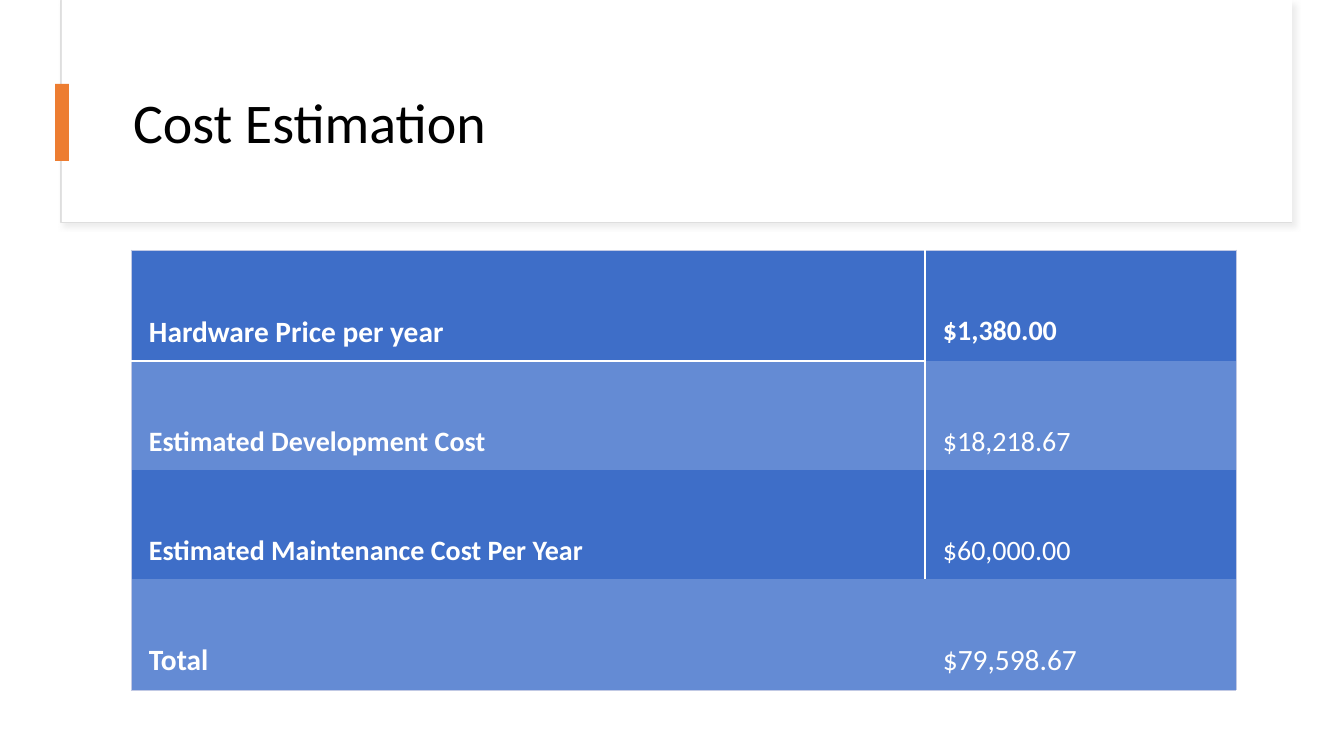
from lxml.etree import SubElement
from pptx import Presentation
from pptx.dml.color import RGBColor
from pptx.enum.shapes import MSO_SHAPE as Shape
from pptx.enum.text import MSO_ANCHOR as Anchor, MSO_AUTO_SIZE as AutoSize, PP_ALIGN as Align
from pptx.oxml.ns import qn
from pptx.util import Pt

EMU_PER_PX = 914400 / 100.8
BLUE, LIGHT_BLUE = "3E6EC8", "648BD4"
WHITE, ORANGE, BLACK = "FFFFFF", "ED7D31", "000000"
OUTER = ("C1C9E4", 0.5)
COLUMN_WIDTHS = (794, 311)
ROW_HEIGHTS = (111, 109, 109, 111)
COSTS = (
    ("Hardware Price per year", 21, "$1,380.00", 20),
    ("Estimated Development Cost", 20, "$18,218.67", 20),
    ("Estimated Maintenance Cost Per Year", 20, "$60,000.00", 20),
    ("Total", 21, "$79,598.67", 21),
)


def px(length):
    return round(length * EMU_PER_PX)


def color(value):
    return RGBColor.from_string(value)


def add_run(para, text, size, ink, bold=False):
    span = para.add_run()
    span.text = text
    font = span.font
    font.name, font.size, font.bold = "Calibri", Pt(size), bold
    font.color.rgb = color(ink)


def add_panel(page, place, fill, line=None):
    panel = page.shapes.add_shape(Shape.RECTANGLE, *map(px, place))
    panel.shadow.inherit = False
    panel.fill.solid()
    panel.fill.fore_color.rgb = color(fill)
    if line:
        panel.line.color.rgb = color(line)
        panel.line.width = Pt(0.75)
    else:
        panel.line.fill.background()
    return panel


def add_shadow(panel):
    effects = panel.element.spPr.find(qn("a:effectLst"))
    shadow = SubElement(effects, qn("a:outerShdw"), blurRad=str(Pt(4)), dist=str(Pt(3)),
                        dir="2700000", algn="tl", rotWithShape="0")
    tint = SubElement(shadow, qn("a:srgbClr"), val="D9D9D9")
    SubElement(tint, qn("a:alpha"), val="50000")


def set_title(page, text, place):
    title = page.shapes.title
    title.left, title.top, title.width, title.height = map(px, place)
    frame = title.text_frame
    frame.word_wrap = True
    frame.auto_size = AutoSize.NONE
    frame.vertical_anchor = Anchor.MIDDLE
    para = frame.paragraphs[0]
    para.alignment = Align.LEFT
    para.line_spacing = 0.9
    add_run(para, text, 40, BLACK)


def set_borders(cell, borders):
    properties = cell._tc.get_or_add_tcPr()
    for side in "LRTB":
        edge = SubElement(properties, qn(f"a:ln{side}"))
        if side in borders:
            ink, width = borders[side]
            edge.set("w", str(Pt(width)))
            fill = SubElement(edge, qn("a:solidFill"))
            SubElement(fill, qn("a:srgbClr"), val=ink)
        else:
            SubElement(edge, qn("a:noFill"))


def cell_borders(row, column):
    last = len(COSTS) - 1
    borders = {"RL"[column == 0]: OUTER}
    if row == 0:
        borders["T"] = OUTER
    if row == last:
        borders["B"] = OUTER
    else:
        borders["LR"[column == 0]] = (WHITE, 1)
    if column == 0 and row < 2:
        borders["BT"[row]] = (WHITE, 1.5)
    return borders


def fill_cell(cell, text, size, bold, fill, borders):
    set_borders(cell, borders)
    cell.fill.solid()
    cell.fill.fore_color.rgb = color(fill)
    cell.vertical_anchor = Anchor.TOP
    cell.margin_left = cell.margin_right = px(18)
    cell.margin_top, cell.margin_bottom = px(64), px(9)
    add_run(cell.text_frame.paragraphs[0], text, size, WHITE, bold)


def add_cost_table(page, left, top):
    place = (left, top, sum(COLUMN_WIDTHS), sum(ROW_HEIGHTS))
    table = page.shapes.add_table(len(COSTS), 2, *map(px, place)).table
    table.first_row = table.horz_banding = False
    for column, width in zip(table.columns, COLUMN_WIDTHS):
        column.width = px(width)
    for row, (label, label_size, price, price_size) in enumerate(COSTS):
        table.rows[row].height = px(ROW_HEIGHTS[row])
        fill = LIGHT_BLUE if row % 2 else BLUE
        fill_cell(table.cell(row, 0), label, label_size, True, fill, cell_borders(row, 0))
        fill_cell(table.cell(row, 1), price, price_size, row == 0, fill, cell_borders(row, 1))


def main():
    deck = Presentation()
    deck.slide_width, deck.slide_height = px(1344), px(756)
    page = deck.slides.add_slide(deck.slide_layouts[5])
    header = add_panel(page, (61, 1, 1231, 222), WHITE, "DEDEDE")
    add_shadow(header)
    add_panel(page, (62, 0, 1230, 222), WHITE)
    set_title(page, "Cost Estimation", (123, 60, 1121, 130))
    page.shapes._spTree.append(page.shapes.title.element)
    add_panel(page, (55, 84, 14, 77), ORANGE)
    add_cost_table(page, 131, 250)
    deck.save("out.pptx")


if __name__ == "__main__":
    main()
